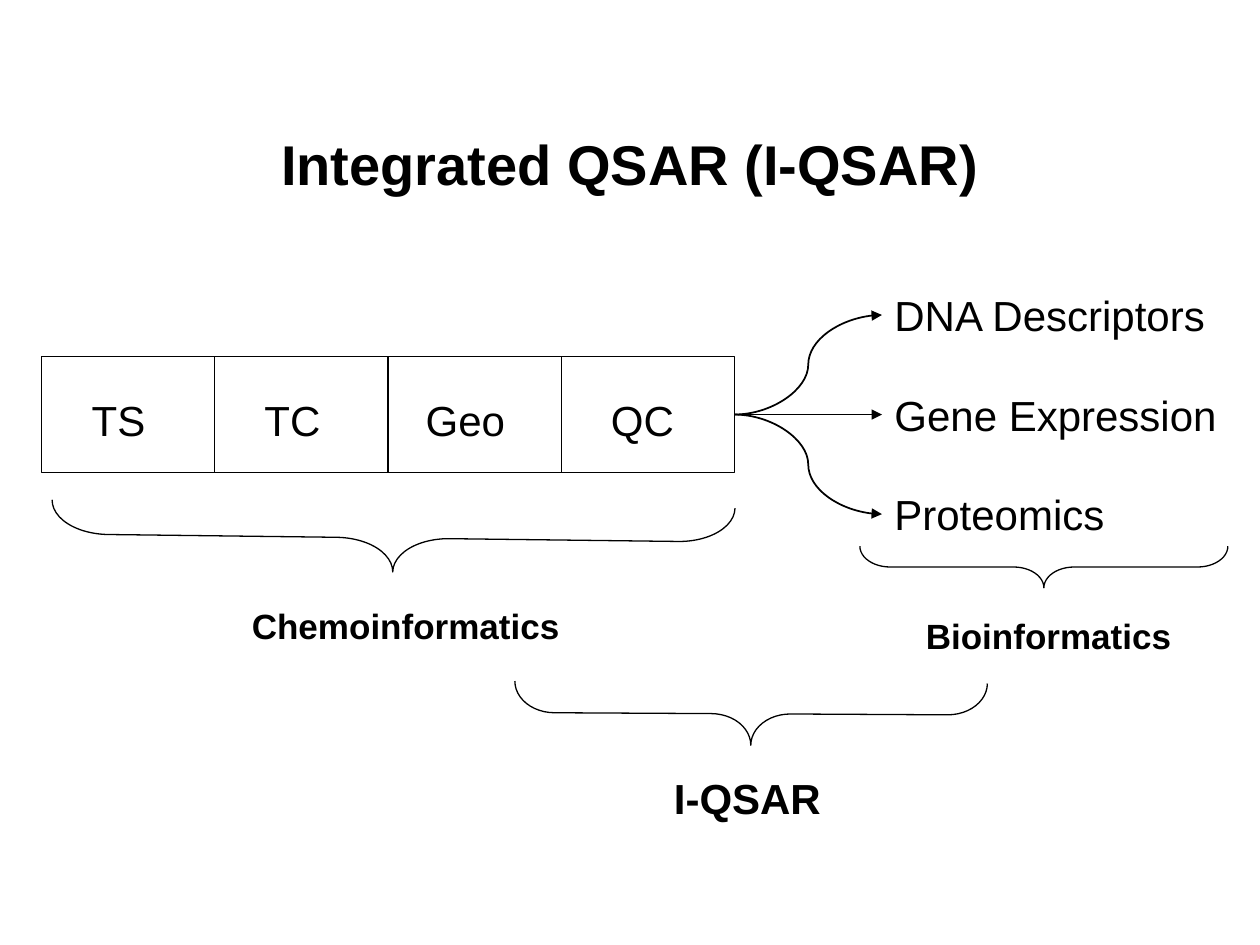
from lxml import etree
from pptx import Presentation
from pptx.dml.color import RGBColor
from pptx.enum.shapes import MSO_CONNECTOR, MSO_SHAPE
from pptx.enum.text import MSO_ANCHOR, MSO_AUTO_SIZE, PP_ALIGN
from pptx.oxml.ns import qn
from pptx.util import Inches, Pt

BLACK = "000000"


def color(hex_value):
    return RGBColor.from_string(hex_value)


def set_attributes(target, values):
    for name, value in values.items():
        setattr(target, name, value)


def add_label(shapes, text, box, size=24, bold=False):
    shape = shapes.add_textbox(*map(Inches, box))
    frame = shape.text_frame
    set_attributes(frame, {"word_wrap": False, "auto_size": MSO_AUTO_SIZE.SHAPE_TO_FIT_TEXT})
    run = frame.paragraphs[0].add_run()
    run.text = text
    set_attributes(run.font, {"name": "Arial", "size": Pt(size), "bold": bold})
    run.font.color.rgb = color(BLACK)
    return frame


def add_title(shapes, text, box):
    frame = add_label(shapes, text, box, 32, True)
    set_attributes(frame, {
        "auto_size": MSO_AUTO_SIZE.NONE,
        "word_wrap": True,
        "vertical_anchor": MSO_ANCHOR.MIDDLE,
    })
    frame.paragraphs[0].alignment = PP_ALIGN.CENTER


def add_outline(shapes, kind, box):
    shape = shapes.add_shape(kind, *map(Inches, box))
    shape.shadow.inherit = False
    shape.fill.background()
    shape.line.color.rgb = color(BLACK)
    shape.line.width = Pt(0.75)
    return shape


def add_brace(shapes, box, rotation, curl):
    brace = add_outline(shapes, MSO_SHAPE.LEFT_BRACE, box)
    brace.rotation = rotation
    brace.adjustments[0] = curl
    brace.adjustments[1] = 0.5


def add_arrow(shapes, kind, start, end):
    arrow = shapes.add_connector(kind, *map(Inches, start + end))
    arrow.line.color.rgb = color(BLACK)
    arrow.line.width = Pt(1)
    line = arrow.line._get_or_add_ln()
    etree.SubElement(line, qn("a:tailEnd"), type="triangle")
    etree.SubElement(arrow._element.spPr, qn("a:effectLst"))


def add_descriptor_boxes(shapes):
    group = shapes.add_group_shape().shapes
    labels = [("TS", 0.63, 0.63), ("TC", 2, 0.65), ("Geo", 3.28, 0.84), ("QC", 4.75, 0.71)]
    for index in range(len(labels)):
        add_outline(group, MSO_SHAPE.RECTANGLE, (0.33 + index * 1.375, 2.83, 1.375, 0.92))
    for text, left, width in labels:
        add_label(group, text, (left, 3.08, width, 0.51))


def add_biology_branches(shapes):
    branches = [
        ("DNA Descriptors", 2.69, MSO_CONNECTOR.CURVE),
        ("Gene Expression", 2.79, MSO_CONNECTOR.STRAIGHT),
        ("Proteomics", 1.89, MSO_CONNECTOR.CURVE),
    ]
    for index, (text, width, kind) in enumerate(branches):
        offset = index * 0.79
        add_label(shapes, text, (7, 2.25 + offset, width, 0.5))
        add_arrow(shapes, kind, (5.83, 3.29), (7, 2.5 + offset))


def main():
    presentation = Presentation()
    set_attributes(presentation, {"slide_width": Inches(10), "slide_height": Inches(7.5)})
    slide = presentation.slides.add_slide(presentation.slide_layouts[6])
    shapes = slide.shapes

    add_title(shapes, "Integrated QSAR (I-QSAR)", (0.75, 0.67, 8.5, 1.25))
    add_descriptor_boxes(shapes)
    add_biology_branches(shapes)
    add_label(shapes, "Chemoinformatics", (1.9, 4.75, 2.75, 0.44), 20, True)
    add_label(shapes, "Bioinformatics", (7.25, 4.83, 2.16, 0.44), 20, True)
    add_label(shapes, "I-QSAR", (5.25, 6.08, 1.38, 0.5), 24, True)
    add_brace(shapes, (2.85, 1.56, 0.54, 5.42), 270.7, 0.83)
    add_brace(shapes, (8.12, 3.04, 0.33, 2.92), 270, 0.73)
    add_brace(shapes, (5.71, 3.79, 0.5, 3.75), 270.3, 0.63)
    presentation.save("out.pptx")


if __name__ == "__main__":
    main()
